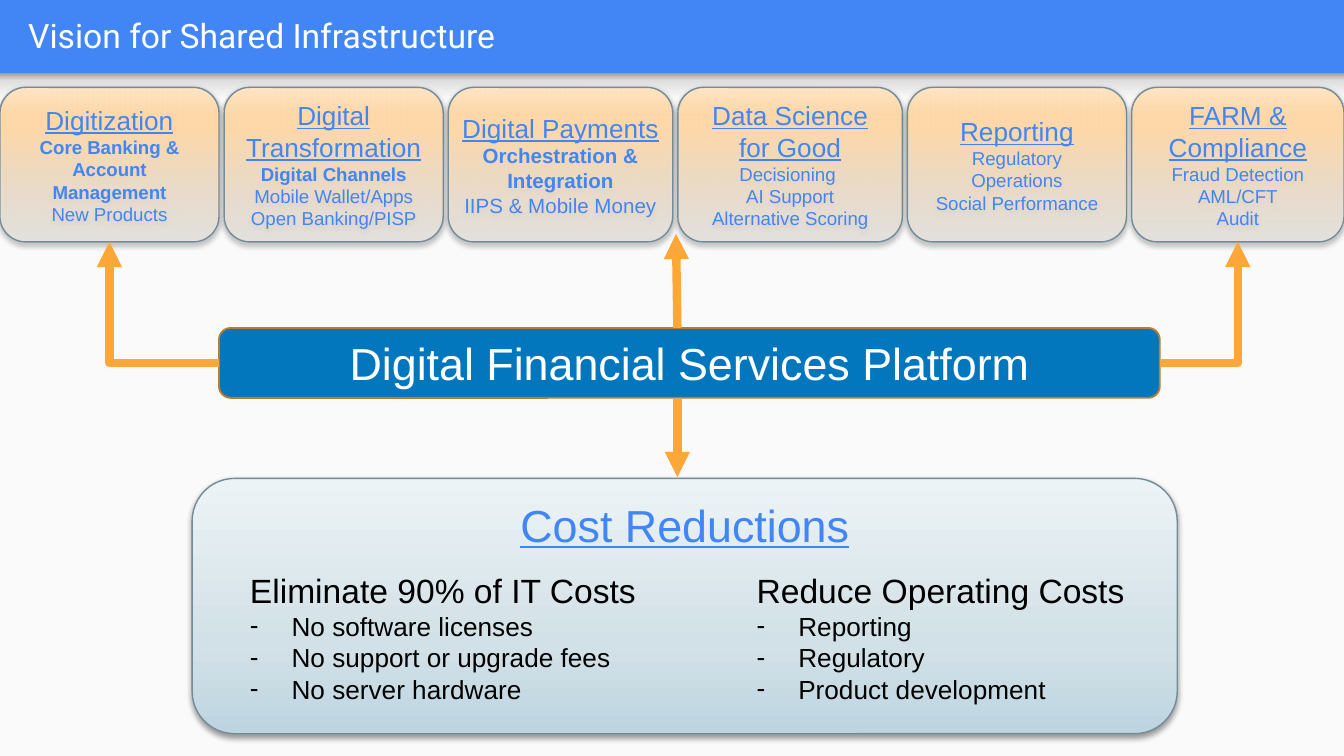
import pptx
import pptx.util
import pptx.dml.color
import pptx.enum.shapes
import pptx.enum.text
import pptx.oxml
import pptx.oxml.ns
import lxml.etree

Inches = pptx.util.Inches
Pt = pptx.util.Pt
RGB = pptx.dml.color.RGBColor.from_string
qn = pptx.oxml.ns.qn
SHAPE = pptx.enum.shapes.MSO_SHAPE
CONNECTOR = pptx.enum.shapes.MSO_CONNECTOR
ALIGN = pptx.enum.text.PP_ALIGN
ANCHOR = pptx.enum.text.MSO_ANCHOR
NO_FIT = pptx.enum.text.MSO_AUTO_SIZE.NONE

WIDTH = 10
HEIGHT = WIDTH * 9 / 16
COLORS = {
    "blue": "4285F4", "page": "FAFAFA", "white": "FFFFFF", "black": "000000",
    "platform": "0277BD", "platform edge": "BA7C2E", "edge": "748C98", "arrow": "FDA739",
}
STRIP_STOPS = [(0, "F9F9F9", 100), (36, "F9F9F9", 100), (80, "DEDEDE", 100), (100, "999999", 100)]
CARD_STOPS = [(0, "FFFAF4", 50), (74, "FED8A8", 100), (83, "FED8A8", 100), (100, "FFE5C5", 100)]
PANEL_STOPS = [(0, "BDD5E1", 100), (35, "D2E1E7", 100), (100, "ECF3F6", 100)]


def add_box(kind, left, top, width, height, fill, edge=None, weight=0.75, shadow=False):
    box = slide.shapes.add_shape(kind, Inches(left), Inches(top), Inches(width), Inches(height))
    box.shadow.inherit = False
    if isinstance(fill, str):
        box.fill.solid()
        box.fill.fore_color.rgb = RGB(COLORS[fill])
    else:
        box.fill.gradient()
        box.fill.gradient_angle = 90
        stops = box._element.spPr.find(".//" + qn("a:gsLst"))
        for stop in list(stops):
            stops.remove(stop)
        for position, color, opacity in fill:
            stop = lxml.etree.SubElement(stops, qn("a:gs"), pos=str(position * 1000))
            shade = lxml.etree.SubElement(stop, qn("a:srgbClr"), val=color)
            lxml.etree.SubElement(shade, qn("a:alpha"), val=str(opacity * 1000))
    if edge:
        box.line.color.rgb = RGB(COLORS[edge])
        box.line.width = Pt(weight)
    else:
        box.line.fill.background()
    if shadow:
        effects = box._element.spPr.find(qn("a:effectLst"))
        cast = lxml.etree.SubElement(effects, qn("a:outerShdw"), blurRad=str(Pt(3.1)),
                                     dist=str(Pt(1.6)), dir="5400000", rotWithShape="0")
        tint = lxml.etree.SubElement(cast, qn("a:srgbClr"), val=COLORS["black"])
        lxml.etree.SubElement(tint, qn("a:alpha"), val="38000")
    return box


def write_line(frame, text, color, align=ALIGN.CENTER, bullet=None, **font_format):
    paragraph = frame.paragraphs[0] if not frame.text else frame.add_paragraph()
    properties = paragraph._p.get_or_add_pPr()
    indent = Inches(0.31) if bullet else 0
    properties.set("marL", str(indent))
    properties.set("indent", str(-indent))
    if bullet:
        tint = lxml.etree.SubElement(properties, qn("a:buClr"))
        lxml.etree.SubElement(tint, qn("a:srgbClr"), val=COLORS[color])
        lxml.etree.SubElement(properties, qn("a:buFont"), typeface="Arial")
        lxml.etree.SubElement(properties, qn("a:buChar"), char=bullet)
    else:
        lxml.etree.SubElement(properties, qn("a:buNone"))
    paragraph.alignment = align
    paragraph.space_before = Pt(0)
    run = paragraph.add_run()
    run.text = text
    run.font.color.rgb = RGB(COLORS[color])
    for name, value in {"name": "Arial", "bold": False, **font_format}.items():
        setattr(run.font, name, value)


deck = pptx.Presentation()
deck.slide_width, deck.slide_height = Inches(WIDTH), Inches(HEIGHT)
slide = deck.slides.add_slide(deck.slide_layouts[3])
slide.background.fill.solid()
slide.background.fill.fore_color.rgb = RGB(COLORS["blue"])
title, savings, operations = slide.placeholders

add_box(SHAPE.RECTANGLE, 0, 0.72, WIDTH, HEIGHT - 0.72, "page")
add_box(SHAPE.RECTANGLE, 0, 0.54, WIDTH, 0.3, STRIP_STOPS)

title.left, title.top, title.width, title.height = map(Inches, (0.11, -0.07, 9.65, 0.66))
frame_format = {"vertical_anchor": ANCHOR.MIDDLE, "auto_size": NO_FIT, "word_wrap": True,
                "margin_top": Inches(0.1), "margin_bottom": Inches(0.1)}
for name, value in frame_format.items():
    setattr(title.text_frame, name, value)
write_line(title.text_frame, "Vision for Shared Infrastructure", "white", ALIGN.LEFT,
           name="Roboto", size=Pt(18))

services = [
    (1.63, True, 10, "Digitization", ["Core Banking & Account Management"], ["New Products"]),
    (1.63, False, 10, "Digital Transformation", ["Digital Channels"],
     ["Mobile Wallet/Apps", "Open Banking/PISP"]),
    (1.67, False, 11, "Digital Payments", ["Orchestration & Integration"], ["IIPS & Mobile Money"]),
    (1.67, True, 10, "Data Science for Good", [],
     ["Decisioning ", "AI Support", "Alternative Scoring"]),
    (1.63, True, 10, "Reporting", [], ["Regulatory", "Operations", "Social Performance"]),
    (1.58, True, 10, "FARM & Compliance", [], ["Fraud Detection", "AML/CFT", "Audit"]),
]
gap = (WIDTH - sum(service[0] for service in services)) / (len(services) - 1)
cards = []
left = 0
for width, inset, size, heading, strong_lines, plain_lines in services:
    card = add_box(SHAPE.ROUNDED_RECTANGLE, left, 0.65, width, 1.15, CARD_STOPS, "edge", shadow=True)
    frame = card.text_frame
    frame_format = {"word_wrap": True, "vertical_anchor": ANCHOR.MIDDLE}
    if not inset:
        frame_format.update(margin_left=0, margin_right=0, margin_top=0, margin_bottom=0)
    for name, value in frame_format.items():
        setattr(frame, name, value)
    write_line(frame, heading, "blue", size=Pt(14), underline=True)
    for text in strong_lines + plain_lines:
        write_line(frame, text, "blue", size=Pt(size), bold=text in strong_lines)
    cards.append(card)
    left += width + gap

panel = add_box(SHAPE.ROUNDED_RECTANGLE, 1.43, 3.56, 7.33, 1.9, PANEL_STOPS, "edge", shadow=True)
panel.text_frame.vertical_anchor = ANCHOR.TOP
write_line(panel.text_frame, "Cost Reductions", "blue", size=Pt(24), underline=True)

reductions = [
    (savings, 1.76, "Eliminate 90% of IT Costs",
     ["No software licenses", "No support or upgrade fees", "No server hardware"]),
    (operations, 5.53, "Reduce Operating Costs", ["Reporting", "Regulatory", "Product development"]),
]
for column, left, heading, items in reductions:
    column.left, column.top, column.width, column.height = map(Inches, (left, 4.19, 3.11, 1.11))
    column.text_frame.auto_size = NO_FIT
    write_line(column.text_frame, heading, "black", ALIGN.LEFT, size=Pt(18))
    for item in items:
        write_line(column.text_frame, item, "black", ALIGN.LEFT, bullet="-", size=Pt(14))
    panel._element.addnext(column._element)

platform = add_box(SHAPE.ROUNDED_RECTANGLE, 1.63, 2.44, 7, 0.52, "platform", "platform edge", 1)
platform.text_frame.vertical_anchor = ANCHOR.MIDDLE
write_line(platform.text_frame, "Digital Financial Services Platform", "white", size=Pt(24))

flows = [
    (CONNECTOR.STRAIGHT, (5.04, 2.44, 5.03, 1.74), None, None),
    (CONNECTOR.STRAIGHT, (5.04, 2.97, 5.04, 3.55), None, None),
    (CONNECTOR.ELBOW, (1.63, 2.7, 0.82, 1.8), 1, cards[0]),
    (CONNECTOR.ELBOW, (8.63, 2.7, 9.21, 1.8), 3, cards[-1]),
]
for kind, ends, side, card in flows:
    arrow = slide.shapes.add_connector(kind, *map(Inches, ends))
    arrow.line.color.rgb = RGB(COLORS["arrow"])
    arrow.line.width = Pt(4.5)
    properties = arrow._element.spPr
    lxml.etree.SubElement(properties.find(qn("a:ln")), qn("a:tailEnd"), type="triangle")
    lxml.etree.SubElement(properties, qn("a:effectLst"))
    if card:
        properties.find(qn("a:prstGeom")).set("prst", "bentConnector2")
        arrow.begin_connect(platform, side)
        arrow.end_connect(card, 2)

deck.save("out.pptx")
